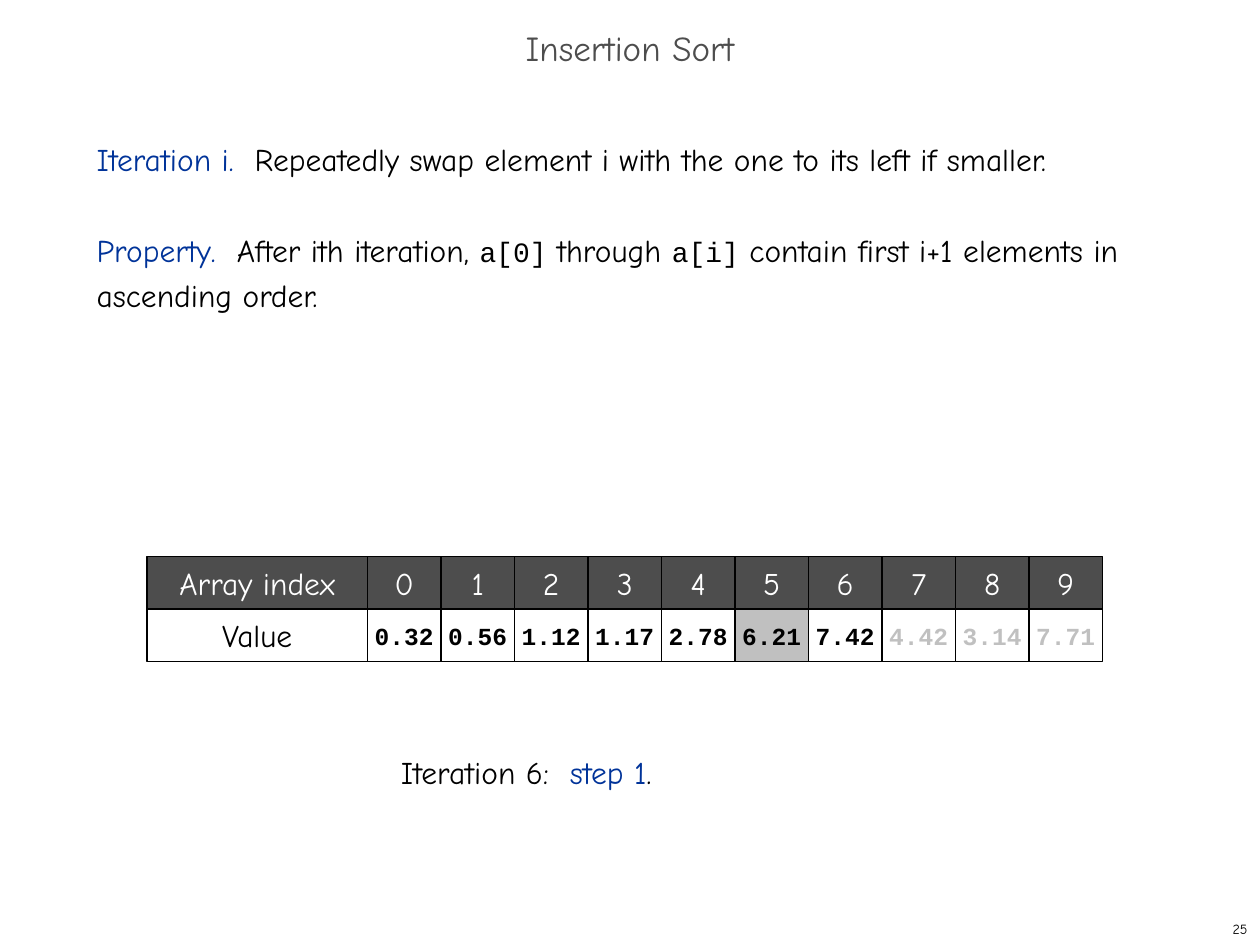
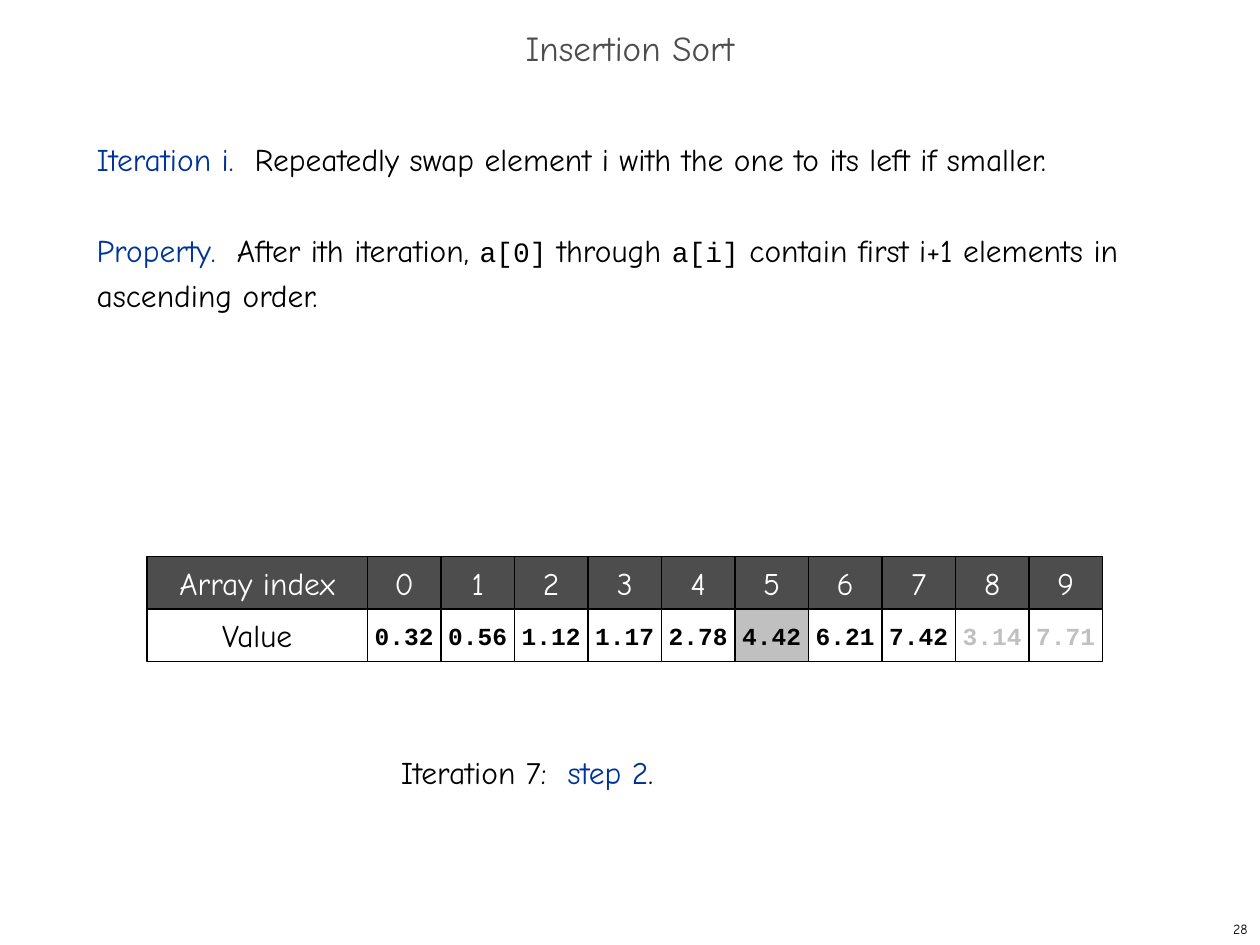
from dataclasses import dataclass

from pptx import Presentation
from pptx import util as u
from pptx.dml.color import RGBColor
from pptx.enum import shapes, text

# Shared look
SANS, MONO = "Comic Neue", "Courier New"
BLACK, WHITE, CHARCOAL = "000000", "FFFFFF", "4D4D4D"
BLUE, SILVER, CAPTION_BLACK = "003399", "C0C0C0", "010000"

# Slide size, and the array grid as shares of it
WIDTH, HEIGHT = u.Inches(10), u.Inches(7.5)
COLUMN, ROW = WIDTH * 7 / 120, HEIGHT / 18
LABEL_COLUMN, LABEL_SPAN = 2, 3
FIRST_COLUMN = LABEL_COLUMN + LABEL_SPAN
INDEX_ROW, VALUE_ROW = 10.6, 11.6


@dataclass(frozen=True)
class Span:
    text: str
    color: str = BLACK
    font: str = SANS
    size: float = 18
    bold: bool = False


@dataclass(frozen=True)
class Cell:
    column: float
    row: float
    label: Span
    fill: str = WHITE
    columns: int = 1


@dataclass(frozen=True)
class Step:
    """State of the array after one swap of an iteration."""
    number: int
    iteration: int
    step: int
    values: tuple[str, ...]
    active: int


STEPS = (
    Step(25, 6, 1, ("0.32", "0.56", "1.12", "1.17", "2.78",
                    "6.21", "7.42", "4.42", "3.14", "7.71"), 5),
    Step(28, 7, 2, ("0.32", "0.56", "1.12", "1.17", "2.78",
                    "4.42", "6.21", "7.42", "3.14", "7.71"), 5),
)

RULES = (
    (Span("Iteration i.  ", BLUE),
     Span("Repeatedly swap element i with the one to its left if smaller.")),
    (Span("Property.  ", BLUE), Span("After ith iteration, "),
     Span("a[0]", font=MONO, size=16), Span(" through "),
     Span("a[i]", font=MONO, size=16),
     Span(" contain first i+1 elements in ascending order.")),
)


def rgb(color: str) -> RGBColor:
    return RGBColor.from_string(color)


def style(font, span: Span) -> None:
    font.name, font.size, font.bold = span.font, u.Pt(span.size), span.bold
    font.color.rgb = rgb(span.color)


def write(para, *spans: Span, align=text.PP_ALIGN.LEFT) -> None:
    """Fill a paragraph; a single span sets the paragraph's own font."""
    para.alignment = align
    if len(spans) == 1:
        style(para.font, spans[0])
    for span in spans:
        run = para.add_run()
        run.text = span.text
        if len(spans) > 1:
            style(run.font, span)


def place(shape, left: float, top: float, width: float, height: float) -> None:
    """Position a shape by shares of the slide's size."""
    shape.left, shape.top = int(WIDTH * left), int(HEIGHT * top)
    shape.width, shape.height = int(WIDTH * width), int(HEIGHT * height)


def add_text(page, share: tuple[float, ...], *spans: Span,
             align=text.PP_ALIGN.LEFT, anchor=text.MSO_ANCHOR.TOP) -> None:
    box = page.shapes.add_textbox(0, 0, 0, 0)
    place(box, *share)
    box.text_frame.word_wrap = True
    box.text_frame.vertical_anchor = anchor
    write(box.text_frame.paragraphs[0], *spans, align=align)


def add_title(page) -> None:
    title = page.shapes.title
    place(title, 0, 1 / 45, 1, 1 / 15)
    frame = title.text_frame
    frame.auto_size = text.MSO_AUTO_SIZE.NONE
    frame.vertical_anchor = text.MSO_ANCHOR.MIDDLE
    para = frame.paragraphs[0]
    para.line_spacing = 0.7
    write(para, Span("Insertion Sort", CHARCOAL, size=20),
          align=text.PP_ALIGN.CENTER)


def add_rules(page) -> None:
    body = page.placeholders[1]
    place(body, 1 / 15, 2 / 15, 53 / 60, 71 / 90)
    frame = body.text_frame
    frame.auto_size = text.MSO_AUTO_SIZE.NONE
    for number, spans in enumerate(RULES):
        para = frame.add_paragraph() if number else frame.paragraphs[0]
        para.line_spacing = u.Pt(26)
        para.space_before = u.Pt(26 * number)
        write(para, *spans)
        # No bullet and no hanging indent
        properties = para._p.get_or_add_pPr()
        properties.set("marL", "0")
        properties.set("indent", "0")
        properties.get_or_add_buNone() if hasattr(
            properties, "get_or_add_buNone") else properties.append(
            properties.makeelement(
                "{http://schemas.openxmlformats.org/drawingml/2006/main}buNone"))


def add_cell(page, cell: Cell) -> None:
    box = page.shapes.add_shape(
        shapes.MSO_SHAPE.RECTANGLE, int(COLUMN * cell.column),
        int(ROW * cell.row), int(COLUMN * cell.columns), int(ROW))
    box.shadow.inherit = False
    box.fill.solid()
    box.fill.fore_color.rgb = rgb(cell.fill)
    box.line.color.rgb = rgb(BLACK)
    box.line.width = u.Pt(0.75)
    frame = box.text_frame
    frame.word_wrap = False
    frame.vertical_anchor = text.MSO_ANCHOR.MIDDLE
    write(frame.paragraphs[0], cell.label, align=text.PP_ALIGN.CENTER)


def add_array(page, step: Step) -> None:
    add_cell(page, Cell(LABEL_COLUMN, INDEX_ROW, Span("Array index", WHITE),
                        CHARCOAL, LABEL_SPAN))
    add_cell(page, Cell(LABEL_COLUMN, VALUE_ROW, Span("Value"),
                        columns=LABEL_SPAN))
    for index, value in enumerate(step.values):
        column = FIRST_COLUMN + index
        add_cell(page, Cell(column, INDEX_ROW, Span(str(index), WHITE), CHARCOAL))
        # Elements past the current iteration are still unsorted
        color = BLACK if index <= step.iteration else SILVER
        add_cell(page, Cell(column, VALUE_ROW, Span(value, color, MONO, 14, True),
                            SILVER if index == step.active else WHITE))


def add_step(deck, step: Step) -> None:
    page = deck.slides.add_slide(deck.slide_layouts[1])
    add_title(page)
    add_rules(page)
    add_array(page, step)
    # Caption
    add_text(page, (37 / 120, 0.79, 49 / 120, 0.053),
             Span(f"Iteration {step.iteration}:  ", CAPTION_BLACK),
             Span(f"step {step.step}", BLUE), Span(".", CAPTION_BLACK))
    # Page number
    add_text(page, (19 / 24, 29 / 30, 5 / 24, 1 / 30),
             Span(str(step.number), size=8),
             align=text.PP_ALIGN.RIGHT, anchor=text.MSO_ANCHOR.MIDDLE)


def main() -> None:
    deck = Presentation()
    deck.slide_width, deck.slide_height = WIDTH, HEIGHT
    for step in STEPS:
        add_step(deck, step)
    deck.save("out.pptx")


if __name__ == "__main__":
    main()
